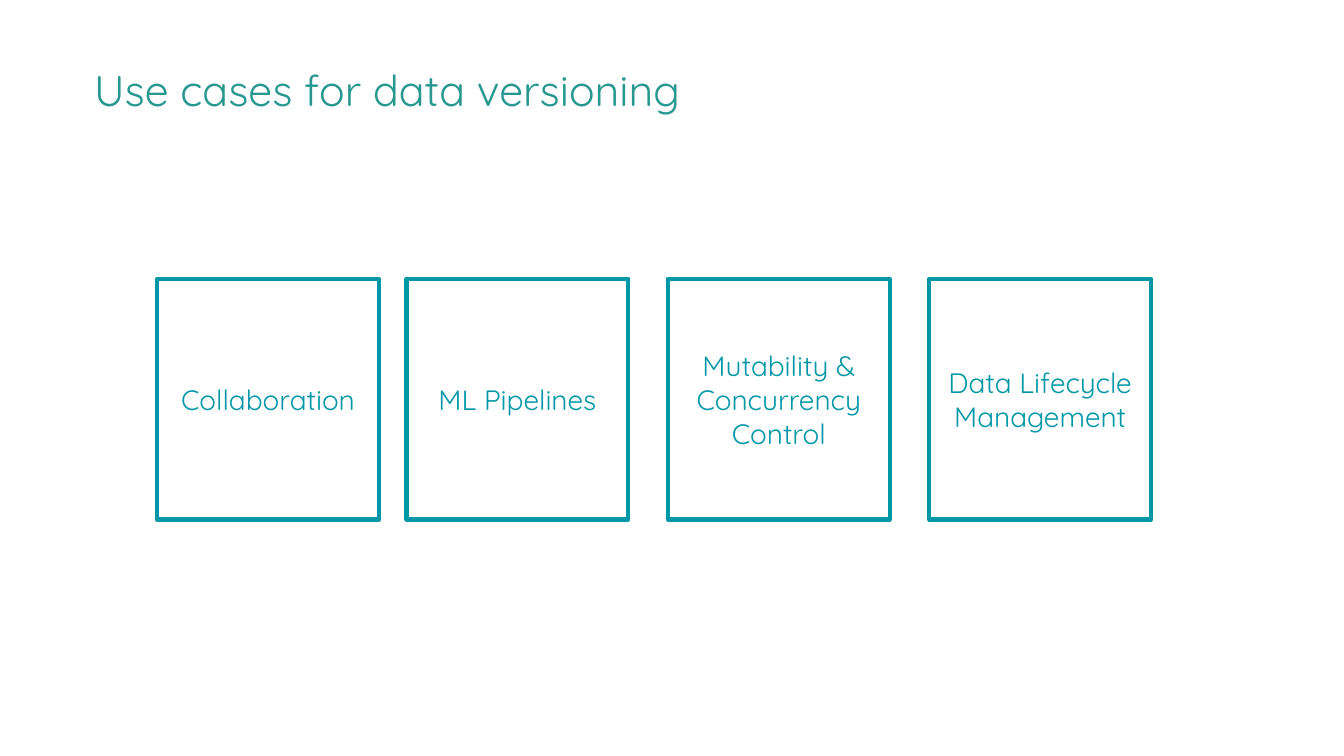
from pptx import Presentation
from pptx.dml.color import RGBColor
from pptx.enum.shapes import MSO_SHAPE as Shape
from pptx.enum.text import MSO_ANCHOR as Anchor, PP_ALIGN as Align
from pptx.util import Inches, Pt

WIDTH = 10
HEIGHT = WIDTH * 9 / 16
COLORS = {"title": "279890", "card": "0097A7"}
# Offsets in percent of the slide's width and height
CARD_TOP = 36.9
CARD_LEFTS = {
    "Collaboration": 11.7,
    "ML Pipelines": 30.25,
    "Mutability & Concurrency Control": 49.7,
    "Data Lifecycle Management": 69.15,
}
CARD_WIDTH, CARD_HEIGHT = 1.65, 1.79


def across(percent):
    return Inches(WIDTH * percent / 100)


def down(percent):
    return Inches(HEIGHT * percent / 100)


def color(name):
    return RGBColor.from_string(COLORS[name])


def write_text(shape, text, size, color_name, inset, anchor, **paragraph_format):
    frame = shape.text_frame
    frame.word_wrap = True
    frame.vertical_anchor = anchor
    for side in ("left", "top", "right", "bottom"):
        setattr(frame, f"margin_{side}", Inches(inset))
    paragraph = frame.paragraphs[0]
    for name, value in paragraph_format.items():
        setattr(paragraph, name, value)
    run = paragraph.add_run()
    run.text = text
    for name, value in {"name": "Quicksand", "size": Pt(size)}.items():
        setattr(run.font, name, value)
    run.font.color.rgb = color(color_name)


def add_title(slide, text):
    box = slide.shapes.add_textbox(
        across(7), Inches(0.5), Inches(4.99), Inches(0.36))
    write_text(box, text, 23, "title", 0, Anchor.BOTTOM,
               alignment=Align.LEFT, line_spacing=0.9)


def add_card(slide, text, left):
    card = slide.shapes.add_shape(
        Shape.RECTANGLE, across(left), down(CARD_TOP),
        Inches(CARD_WIDTH), Inches(CARD_HEIGHT))
    card.shadow.inherit = False
    card.fill.background()
    card.line.color.rgb = color("card")
    card.line.width = Pt(2.25)
    write_text(card, text, 15, "card", 0.1, Anchor.MIDDLE, alignment=Align.CENTER)


def main():
    presentation = Presentation()
    presentation.slide_width = Inches(WIDTH)
    presentation.slide_height = Inches(HEIGHT)
    slide = presentation.slides.add_slide(presentation.slide_layouts[6])
    for text, left in CARD_LEFTS.items():
        add_card(slide, text, left)
    add_title(slide, "Use cases for data versioning")
    presentation.save("out.pptx")


if __name__ == "__main__":
    main()
